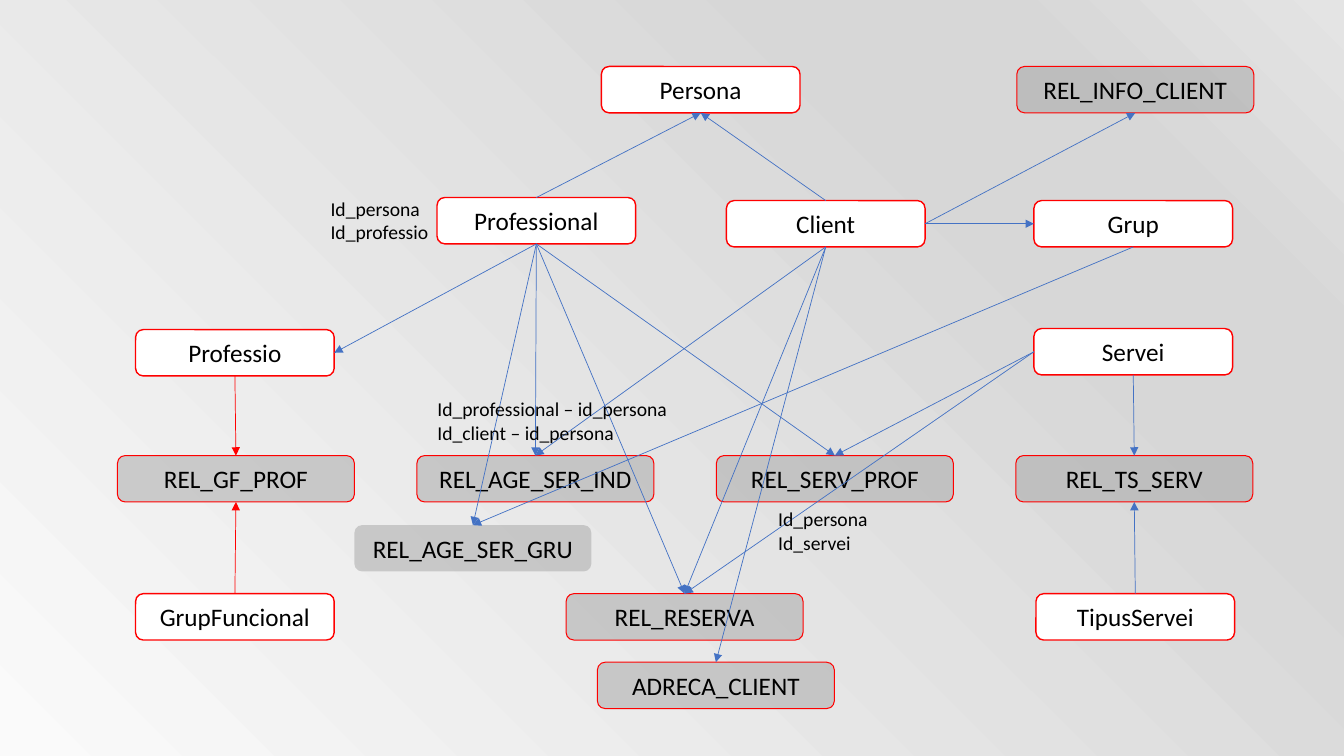
from copy import deepcopy
from dataclasses import dataclass

from lxml import etree
from pptx import Presentation
from pptx.dml.color import RGBColor
from pptx.enum.shapes import MSO_CONNECTOR, MSO_SHAPE
from pptx.enum.text import MSO_ANCHOR, MSO_AUTO_SIZE, PP_ALIGN
from pptx.oxml.ns import qn
from pptx.util import Inches, Pt

STRAIGHT = MSO_CONNECTOR.STRAIGHT
ROUNDED = MSO_SHAPE.ROUNDED_RECTANGLE
CENTER, MIDDLE = PP_ALIGN.CENTER, MSO_ANCHOR.MIDDLE
FIT_SHAPE = MSO_AUTO_SIZE.SHAPE_TO_FIT_TEXT
TOP, LEFT, BOTTOM, RIGHT = range(4)
GRID_COLUMNS, GRID_ROWS = 13.33, 7.5
NODE_ROWS = 0.46


@dataclass(frozen=True)
class Theme:
    """Colours and type sizes of the slide."""
    font: str = "Calibri"
    ink: str = "000000"
    red: str = "FF0000"
    blue: str = "4472C4"
    backdrop: tuple = ((0, "FAFAFA"), (0.74, "D7D7D7"), (0.83, "D7D7D7"), (1, "E4E4E4"))
    node_size: int = 18
    label_size: int = 14
    arrow_width: float = 0.5


@dataclass(frozen=True)
class Kind:
    """Look of one family of nodes."""
    columns: float
    fill: str
    opacity: int
    outline: float


THEME = Theme()
ENTITY = Kind(1.97, "FFFFFF", 100, 1)
RELATION = Kind(2.35, "A5A5A5", 50, 0.75)
PLAIN_RELATION = Kind(2.35, "A5A5A5", 50, 0)

# Name, kind, centre column, top row
NODES = [
    ("Persona", ENTITY, 6.95, 0.66),
    ("REL_INFO_CLIENT", RELATION, 11.26, 0.66),
    ("Professional", ENTITY, 5.32, 1.96),
    ("Client", ENTITY, 8.19, 1.99),
    ("Grup", ENTITY, 11.24, 1.99),
    ("Professio", ENTITY, 2.33, 3.27),
    ("Servei", ENTITY, 11.24, 3.26),
    ("REL_GF_PROF", RELATION, 2.34, 4.52),
    ("REL_AGE_SER_IND", RELATION, 5.31, 4.52),
    ("REL_SERV_PROF", RELATION, 8.28, 4.52),
    ("REL_TS_SERV", RELATION, 11.25, 4.52),
    ("REL_AGE_SER_GRU", PLAIN_RELATION, 4.69, 5.21),
    ("GrupFuncional", ENTITY, 2.33, 5.89),
    ("REL_RESERVA", RELATION, 6.79, 5.89),
    ("TipusServei", ENTITY, 11.26, 5.89),
    ("ADRECA_CLIENT", RELATION, 7.1, 6.57),
]

ARROWS = [
    ("Professional", TOP, "Persona", BOTTOM, THEME.blue),
    ("Client", TOP, "Persona", BOTTOM, THEME.blue),
    ("Professio", BOTTOM, "REL_GF_PROF", TOP, THEME.red),
    ("GrupFuncional", TOP, "REL_GF_PROF", BOTTOM, THEME.red),
    ("Servei", BOTTOM, "REL_TS_SERV", TOP, THEME.blue),
    ("TipusServei", TOP, "REL_TS_SERV", BOTTOM, THEME.blue),
    ("Servei", LEFT, "REL_SERV_PROF", TOP, THEME.blue),
    ("Servei", LEFT, "REL_RESERVA", TOP, THEME.blue),
    ("Professional", BOTTOM, "Professio", RIGHT, THEME.blue),
    ("Professional", BOTTOM, "REL_AGE_SER_IND", TOP, THEME.blue),
    ("Professional", BOTTOM, "REL_AGE_SER_GRU", TOP, THEME.blue),
    ("Professional", BOTTOM, "REL_SERV_PROF", TOP, THEME.blue),
    ("Professional", BOTTOM, "REL_RESERVA", TOP, THEME.blue),
    ("Client", RIGHT, "Grup", LEFT, THEME.blue),
    ("Client", RIGHT, "REL_INFO_CLIENT", BOTTOM, THEME.blue),
    ("Client", BOTTOM, "REL_AGE_SER_IND", TOP, THEME.blue),
    ("Client", BOTTOM, "REL_RESERVA", TOP, THEME.blue),
    ("Client", BOTTOM, "ADRECA_CLIENT", TOP, THEME.blue),
    ("Grup", BOTTOM, "REL_AGE_SER_GRU", TOP, THEME.blue),
]

LABELS = [
    (("Id_persona", "Id_professio"), 3.18, 1.9, 1.18),
    (("Id_persona", "Id_servei"), 7.62, 4.98, 1.1),
    (("Id_professional – id_persona", "Id_client – id_persona"), 4.24, 3.89, 2.5),
]


def place(box, column, row, columns, rows):
    """Turn grid measures into a left, top, width, height inside the box."""
    left, top, width, height = box
    across, down = width / GRID_COLUMNS, height / GRID_ROWS
    return (round(left + column * across), round(top + row * down),
            round(columns * across), round(rows * down))


def add_text(para, text, size):
    """Add one run in the theme's font and ink."""
    span = para.add_run()
    span.text = text
    span.font.name = THEME.font
    span.font.size = Pt(size)
    span.font.color.rgb = RGBColor.from_string(THEME.ink)


def paint_backdrop(page):
    """Fill the background with the diagonal grey gradient."""
    fill = page.background.fill
    fill.gradient()
    fill.gradient_angle = 45
    stops = page.element.find(".//" + qn("a:gsLst"))
    while len(stops) < len(THEME.backdrop):
        stops.append(deepcopy(stops[0]))
    for stop, (position, color) in zip(fill.gradient_stops, THEME.backdrop):
        stop.position = position
        stop.color.rgb = RGBColor.from_string(color)


def add_node(page, box, name, kind, center, row):
    """Draw one named rounded box and return it."""
    area = place(box, center - kind.columns / 2, row, kind.columns, NODE_ROWS)
    node = page.shapes.add_shape(ROUNDED, *area)
    node.shadow.inherit = False
    node.fill.solid()
    node.fill.fore_color.rgb = RGBColor.from_string(kind.fill)
    if kind.opacity < 100:
        color = node.element.spPr.find(qn("a:solidFill"))[0]
        etree.SubElement(color, qn("a:alpha"), val=str(kind.opacity * 1000))
    if kind.outline:
        node.line.color.rgb = RGBColor.from_string(THEME.red)
        node.line.width = Pt(kind.outline)
    else:
        node.line.fill.background()
    node.text_frame.vertical_anchor = MIDDLE
    para = node.text_frame.paragraphs[0]
    para.alignment = CENTER
    add_text(para, name, THEME.node_size)
    return node


def add_arrow(page, start, start_side, end, end_side, color):
    """Join the sides of two nodes with an arrow."""
    arrow = page.shapes.add_connector(STRAIGHT, 0, 0, 0, 0)
    arrow.begin_connect(start, start_side)
    arrow.end_connect(end, end_side)
    arrow.line.color.rgb = RGBColor.from_string(color)
    arrow.line.width = Pt(THEME.arrow_width)
    properties = arrow.element.spPr
    etree.SubElement(properties.find(qn("a:ln")), qn("a:tailEnd"), type="triangle")
    etree.SubElement(properties, qn("a:effectLst"))


def add_label(page, box, lines, column, row, columns):
    """Write the key fields beside a node, one to a line."""
    label = page.shapes.add_textbox(*place(box, column, row, columns, 0.57))
    frame = label.text_frame
    frame.word_wrap = False
    frame.auto_size = FIT_SHAPE
    for index, line in enumerate(lines):
        para = frame.add_paragraph() if index else frame.paragraphs[0]
        add_text(para, line, THEME.label_size)


def add_diagram(page, box):
    """Draw the nodes, their arrows and the key labels inside the box."""
    nodes = {name: add_node(page, box, name, *rest) for name, *rest in NODES}
    for start, start_side, end, end_side, color in ARROWS:
        add_arrow(page, nodes[start], start_side, nodes[end], end_side, color)
    for label in LABELS:
        add_label(page, box, *label)


def main():
    """Build the one-slide deck."""
    deck = Presentation()
    deck.slide_width, deck.slide_height = Inches(13.33), Inches(7.5)
    page = deck.slides.add_slide(deck.slide_layouts.get_by_name("Blank"))
    paint_backdrop(page)
    add_diagram(page, (0, 0, deck.slide_width, deck.slide_height))
    deck.save("out.pptx")


if __name__ == "__main__":
    main()
